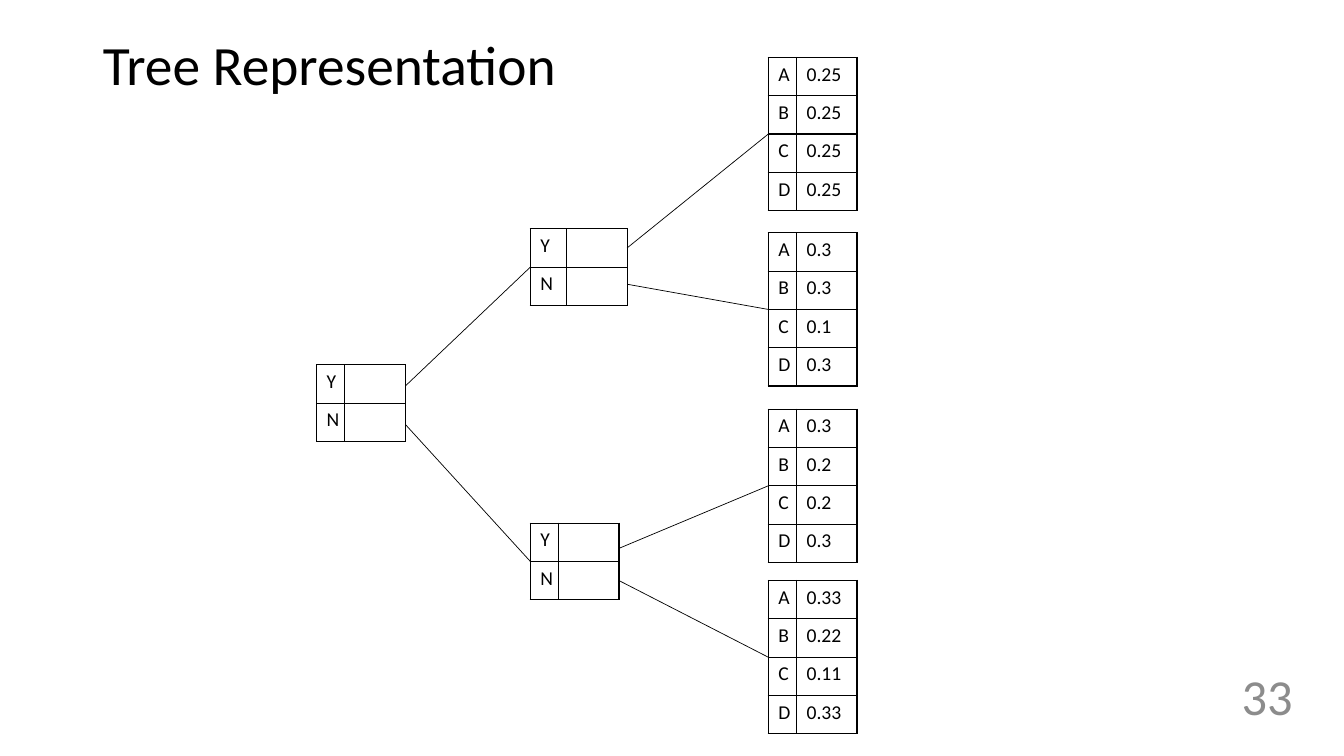
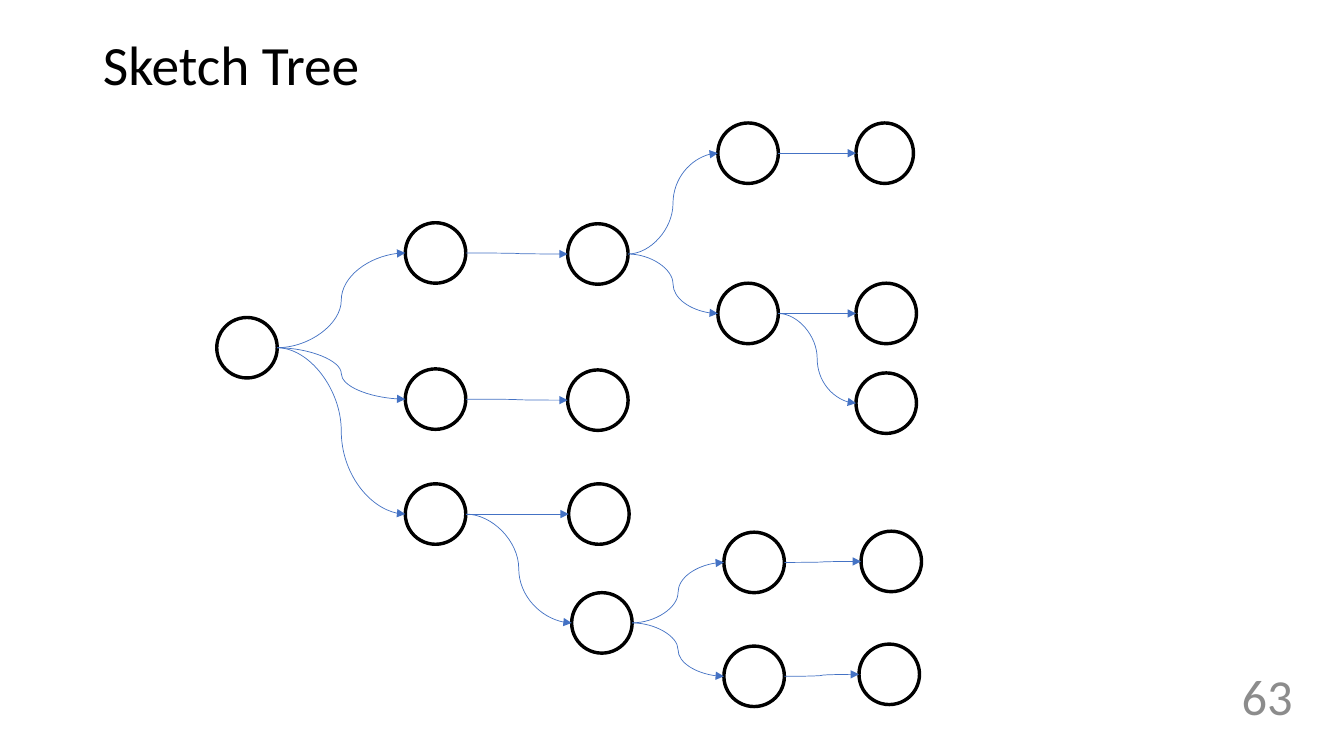
from dataclasses import dataclass

from lxml.etree import SubElement
from pptx import Presentation
from pptx.dml.color import RGBColor
from pptx.enum.shapes import MSO_CONNECTOR as Connector
from pptx.enum.shapes import MSO_SHAPE as Preset
from pptx.enum.text import MSO_ANCHOR as Anchor
from pptx.enum.text import MSO_AUTO_SIZE as AutoSize
from pptx.enum.text import PP_ALIGN as Align
from pptx.oxml import parse_xml
from pptx.oxml.ns import nsdecls, qn
from pptx.util import Inches, Pt

COLORS = {"ink": "000000", "number": "8C8C8C", "arrow": "4472C4"}
FONT = "Calibri"
ROW_HEIGHT = 0.38
VALUE_WIDTH = 0.6
CIRCLE_SIZE = 0.6
ELLIPSE_LEFT, ELLIPSE_RIGHT = 2, 6


@dataclass(frozen=True)
class TreeTable:
    left: float
    top: float
    rows: tuple[tuple[str, str], ...]
    label_width: float = 0.28

    @property
    def right(self) -> float:
        return self.left + self.label_width + VALUE_WIDTH

    @property
    def middle(self) -> float:
        return self.top + len(self.rows) * ROW_HEIGHT / 2


@dataclass(frozen=True)
class Branch:
    parent: str
    start_y: float
    child: str


@dataclass(frozen=True)
class Circle:
    left: float
    top: float
    width: float = CIRCLE_SIZE

    @property
    def right(self) -> float:
        return self.left + self.width

    @property
    def middle(self) -> float:
        return self.top + CIRCLE_SIZE / 2


def leaf_rows(*values: str) -> tuple[tuple[str, str], ...]:
    return tuple(zip("ABCD", values))


CHOICES = (("Y", ""), ("N", ""))
TABLES = {
    "first leaf": TreeTable(7.62, 0.57, leaf_rows("0.25", "0.25", "0.25", "0.25")),
    "second leaf": TreeTable(7.62, 2.31, leaf_rows("0.3", "0.3", "0.1", "0.3")),
    "third leaf": TreeTable(7.62, 4.06, leaf_rows("0.3", "0.2", "0.2", "0.3")),
    "fourth leaf": TreeTable(7.62, 5.76, leaf_rows("0.33", "0.22", "0.11", "0.33")),
    "upper": TreeTable(5.26, 2.27, CHOICES, label_width=0.36),
    "lower": TreeTable(5.26, 5.19, CHOICES),
    "root": TreeTable(3.14, 3.62, CHOICES),
}
BRANCHES = (
    Branch("root", 3.83, "upper"),
    Branch("root", 4.21, "lower"),
    Branch("upper", 2.46, "first leaf"),
    Branch("upper", 2.82, "second leaf"),
    Branch("lower", 5.44, "third leaf"),
    Branch("lower", 5.76, "fourth leaf"),
)

CIRCLES = {
    "root": Circle(2.15, 3.15),
    "a": Circle(4.02, 2.21),
    "b": Circle(4.02, 3.66),
    "c": Circle(4.02, 4.8),
    "a1": Circle(5.63, 2.22),
    "b1": Circle(5.63, 3.67),
    "c1": Circle(5.64, 4.8),
    "c2": Circle(5.67, 5.88),
    "a11": Circle(7.12, 1.22),
    "a12": Circle(7.12, 2.81),
    "c21": Circle(7.18, 5.28),
    "c22": Circle(7.18, 6.41),
    "a111": Circle(8.49, 1.22, width=0.57),
    "a121": Circle(8.49, 2.81),
    "a122": Circle(8.49, 3.7),
    "c211": Circle(8.54, 5.27),
    "c221": Circle(8.52, 6.39),
}
CHILDREN = {
    "root": ("a", "b", "c"),
    "a": ("a1",),
    "b": ("b1",),
    "c": ("c1", "c2"),
    "a1": ("a11", "a12"),
    "c2": ("c21", "c22"),
    "a11": ("a111",),
    "a12": ("a121", "a122"),
    "c21": ("c211",),
    "c22": ("c221",),
}


def rgb(name: str) -> RGBColor:
    return RGBColor.from_string(COLORS[name])


def write_text(text_frame, text: str, *, size: float, color: str = "ink",
               align=Align.LEFT, anchor=None, spacing: float = 1.0) -> None:
    text_frame.word_wrap = True
    if anchor is not None:
        text_frame.auto_size = AutoSize.NONE
        text_frame.vertical_anchor = anchor
    paragraph = text_frame.paragraphs[0]
    paragraph.alignment = align
    paragraph.line_spacing = spacing
    if not text:
        SubElement(paragraph._p, qn("a:endParaRPr"), sz=str(size * 100))
        return
    run = paragraph.add_run()
    run.text = text
    run.font.name = FONT
    run.font.size = Pt(size)
    run.font.color.rgb = rgb(color)


def add_titled_slide(presentation, title: str, number: str):
    slide = presentation.slides.add_slide(presentation.slide_layouts[5])
    shape = slide.shapes.title
    shape.left, shape.top = Inches(0.92), Inches(0.4)
    shape.width, shape.height = Inches(11.5), Inches(0.55)
    write_text(shape.text_frame, title, size=39.6, anchor=Anchor.MIDDLE, spacing=0.9)
    number_box = slide.shapes.add_textbox(
        Inches(11.67), Inches(6.47), Inches(1.25), Inches(0.86))
    write_text(number_box.text_frame, number, size=36, color="number",
               align=Align.RIGHT, anchor=Anchor.MIDDLE)
    return slide


def add_line(slide, kind, start: tuple[float, float], end: tuple[float, float],
             color: str, arrow: bool = False):
    connector = slide.shapes.add_connector(
        kind, *(Inches(length) for length in start + end))
    connector.line.color.rgb = rgb(color)
    connector.line.width = Pt(0.5)
    properties = connector.element.spPr
    if arrow:
        SubElement(properties.find(qn("a:ln")), qn("a:tailEnd"), type="triangle")
    SubElement(properties, qn("a:effectLst"))
    return connector


def add_cell_borders(frame) -> None:
    for cell_properties in frame.element.iter(qn("a:tcPr")):
        for index, side in enumerate("LRTB"):
            cell_properties.insert(index, parse_xml(
                f'<a:ln{side} {nsdecls("a")} w="12700"><a:solidFill>'
                f'<a:srgbClr val="{COLORS["ink"]}"/></a:solidFill></a:ln{side}>'))


def add_tree_table(slide, item: TreeTable) -> None:
    frame = slide.shapes.add_table(
        len(item.rows), 2, Inches(item.left), Inches(item.top),
        Inches(item.right - item.left), Inches(len(item.rows) * ROW_HEIGHT))
    table = frame.table
    table.first_row = table.horz_banding = False
    for column, width in zip(table.columns, (item.label_width, VALUE_WIDTH)):
        column.width = Inches(width)
    for row, texts in zip(table.rows, item.rows):
        row.height = Inches(ROW_HEIGHT)
        for cell, text in zip(row.cells, texts):
            cell.fill.background()
            write_text(cell.text_frame, text, size=14)
    add_cell_borders(frame)


def add_circle(slide, circle: Circle):
    shape = slide.shapes.add_shape(
        Preset.OVAL, Inches(circle.left), Inches(circle.top),
        Inches(circle.width), Inches(CIRCLE_SIZE))
    shape.shadow.inherit = False
    shape.fill.background()
    shape.line.color.rgb = rgb("ink")
    shape.line.width = Pt(2.43)
    return shape


def attach(connector, parent, child) -> None:
    links = connector.element.find(".//" + qn("p:cNvCxnSpPr"))
    for tag, shape, site in (("a:stCxn", parent, ELLIPSE_RIGHT),
                             ("a:endCxn", child, ELLIPSE_LEFT)):
        SubElement(links, qn(tag), id=str(shape.shape_id), idx=str(site))


def build_tree_representation(presentation) -> None:
    slide = add_titled_slide(presentation, "Tree Representation", "33")
    for item in TABLES.values():
        add_tree_table(slide, item)
    for branch in BRANCHES:
        parent, child = TABLES[branch.parent], TABLES[branch.child]
        add_line(slide, Connector.STRAIGHT, (parent.right, branch.start_y),
                 (child.left, child.middle), "ink")


def build_sketch_tree(presentation) -> None:
    slide = add_titled_slide(presentation, "Sketch Tree", "63")
    shapes = {name: add_circle(slide, circle) for name, circle in CIRCLES.items()}
    for parent_name, child_names in CHILDREN.items():
        parent = CIRCLES[parent_name]
        for child_name in child_names:
            child = CIRCLES[child_name]
            connector = add_line(
                slide, Connector.CURVE, (parent.right, parent.middle),
                (child.left, child.middle), "arrow", arrow=True)
            attach(connector, shapes[parent_name], shapes[child_name])


def main() -> None:
    presentation = Presentation()
    presentation.slide_width, presentation.slide_height = Inches(13.33), Inches(7.5)
    build_tree_representation(presentation)
    build_sketch_tree(presentation)
    presentation.save("out.pptx")


if __name__ == "__main__":
    main()
